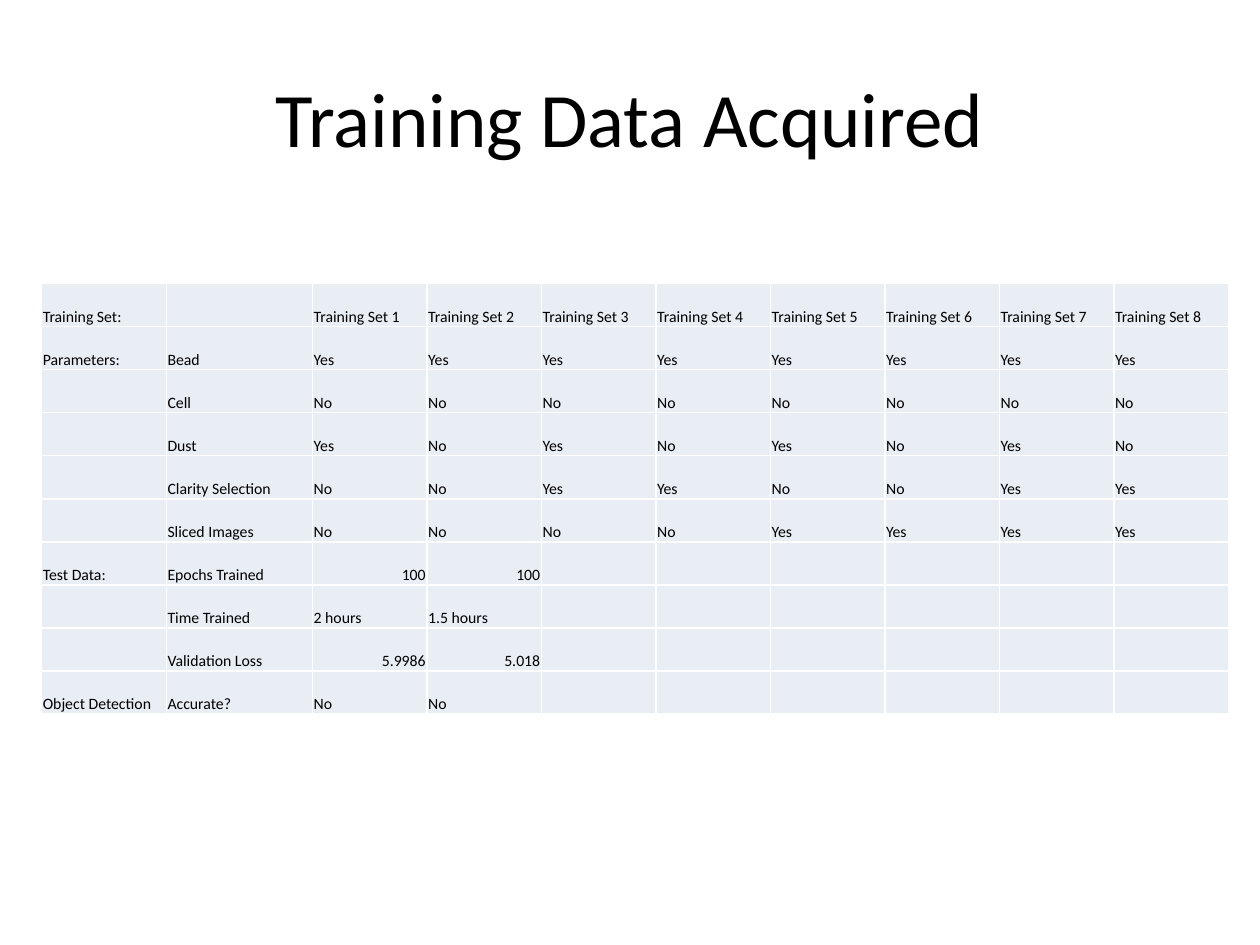
import pptx
import pptx.util
from lxml import etree
from pptx.dml.color import RGBColor
from pptx.enum.text import MSO_ANCHOR, PP_ALIGN
from pptx.oxml.ns import qn
from pptx.util import Inches

COLORS = {"text": "000000", "cell": "E9EDF4", "border": "FFFFFF"}
FONT = "Calibri"
SET_COUNT = 8
LABEL_WIDTHS = [Inches(0.99), Inches(1.16)]

ROWS = [
    ["Training Set:", ""] + [f"Training Set {n}" for n in range(1, SET_COUNT + 1)],
    ["Parameters:", "Bead"] + ["Yes"] * SET_COUNT,
    ["", "Cell"] + ["No"] * SET_COUNT,
    ["", "Dust"] + ["Yes", "No"] * 4,
    ["", "Clarity Selection"] + ["No", "No", "Yes", "Yes"] * 2,
    ["", "Sliced Images"] + ["No"] * 4 + ["Yes"] * 4,
    ["Test Data:", "Epochs Trained", "100", "100"],
    ["", "Time Trained", "2 hours", "1.5 hours"],
    ["", "Validation Loss", "5.9986", "5.018"],
    ["Object Detection", "Accurate?", "No", "No"],
]


def style_paragraph(para, size, align):
    para.alignment = align
    para.font.name = FONT
    para.font.size = pptx.util.Pt(size)
    para.font.color.rgb = RGBColor.from_string(COLORS["text"])


def add_borders(cell):
    """Draw a thin line on all four sides; borders must precede the fill."""
    properties = cell._tc.get_or_add_tcPr()
    for position, side in enumerate(("a:lnL", "a:lnR", "a:lnT", "a:lnB")):
        line = etree.Element(qn(side), w=str(pptx.util.Pt(1)))
        fill = etree.SubElement(line, qn("a:solidFill"))
        etree.SubElement(fill, qn("a:srgbClr"), val=COLORS["border"])
        properties.insert(position, line)


def fill_cell(cell, text):
    cell.text = text
    cell.vertical_anchor = MSO_ANCHOR.BOTTOM
    cell.margin_left = cell.margin_right = cell.margin_top = Inches(0.01)
    cell.margin_bottom = 0
    cell.fill.solid()
    cell.fill.fore_color.rgb = RGBColor.from_string(COLORS["cell"])
    is_number = text.replace(".", "").isdigit()
    align = PP_ALIGN.RIGHT if is_number else PP_ALIGN.LEFT
    style_paragraph(cell.text_frame.paragraphs[0], 9, align)
    add_borders(cell)


def place_title(slide, left, top, width, height):
    title = slide.shapes.title
    title.left, title.top, title.width, title.height = left, top, width, height
    title.text_frame.text = "Training Data Acquired"
    title.text_frame.vertical_anchor = MSO_ANCHOR.MIDDLE
    style_paragraph(title.text_frame.paragraphs[0], 44, PP_ALIGN.CENTER)


def place_training_table(slide, left, top, width, height):
    column_count = len(LABEL_WIDTHS) + SET_COUNT
    table = slide.shapes.add_table(
        len(ROWS), column_count, left, top, width, height
    ).table
    table.first_row = False
    table.horz_banding = False
    set_width = (width - sum(LABEL_WIDTHS)) // SET_COUNT
    for column, column_width in zip(
        table.columns, LABEL_WIDTHS + [set_width] * SET_COUNT
    ):
        column.width = column_width
    for row, values in zip(table.rows, ROWS):
        padded = values + [""] * (column_count - len(values))
        for cell, text in zip(row.cells, padded):
            fill_cell(cell, text)


def main():
    deck = pptx.Presentation()
    deck.slide_width, deck.slide_height = Inches(10), Inches(7.5)
    slide = deck.slides.add_slide(deck.slide_layouts.get_by_name("Title Only"))
    place_title(slide, Inches(0.5), Inches(0.3), Inches(9), Inches(1.25))
    place_training_table(
        slide, Inches(0.33), Inches(2.25), Inches(9.42), Inches(3.42)
    )
    deck.save("out.pptx")


if __name__ == "__main__":
    main()
